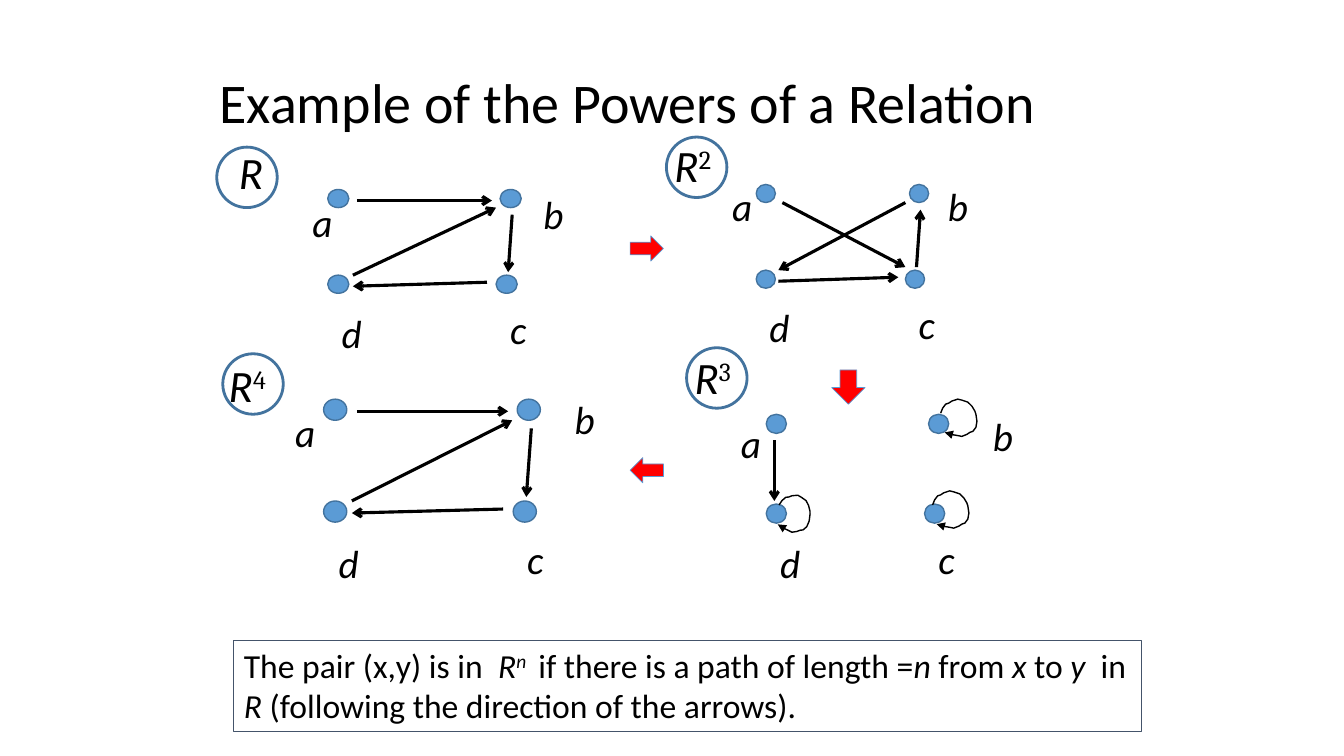
from typing import NamedTuple

from lxml import etree
from pptx import Presentation
from pptx.dml.color import RGBColor
from pptx.enum.shapes import MSO_CONNECTOR, MSO_SHAPE
from pptx.enum.text import MSO_ANCHOR, MSO_AUTO_SIZE, PP_ALIGN
from pptx.oxml.ns import qn
from pptx.util import Inches, Pt

BLACK = RGBColor(0x00, 0x00, 0x00)
RED = RGBColor(0xFF, 0x00, 0x00)
BLUE = RGBColor(0x5B, 0x9B, 0xD5)
DARK_BLUE = RGBColor(0x43, 0x73, 0x9E)
SLATE = RGBColor(0x44, 0x54, 0x6A)

Point = tuple[float, float]
Box = tuple[float, float, float, float]


class Piece(NamedTuple):
    text: str
    italic: bool = False
    raised: bool = False
    font: str = "Calibri"


class Graph(NamedTuple):
    """Nodes a, b, c, d: a and d share the left edge, a and b the top edge."""
    power: str
    power_box: Box
    circle: Point
    left: float
    right: float
    top: float
    bottom: float
    node_size: Point
    labels: dict[str, Point]
    edges: list[tuple[Point, Point]]


class Step(NamedTuple):
    kind: MSO_SHAPE
    box: Box
    rotation: float = 0


class Loop(NamedTuple):
    left: float
    top: float
    width: float = 0.36
    rotation: float = 0


C_SHIFT = 0.04  # node c sits slightly left of node b
LABEL_HEIGHT = 0.57
CIRCLE_SIZE = 0.6

GRAPHS = [
    Graph("", (2.27, 1.39, 0.42, 0.64), (2.15, 1.46),
          3.25, 4.96, 1.88, 2.73, (0.21, 0.18),
          {"a": (3, 1.92), "b": (5.29, 1.84), "c": (4.96, 2.98), "d": (3.29, 3.02)},
          [((3.54, 1.99), (4.88, 1.99)), ((3.5, 2.73), (4.92, 2.06)),
           ((5.08, 2.13), (5.04, 2.7)), ((4.83, 2.8), (3.5, 2.84))]),
    Graph("2", (6.59, 1.32, 0.72, 0.64), (6.61, 1.36),
          7.5, 9.02, 1.83, 2.68, (0.19, 0.18),
          {"a": (7.17, 1.76), "b": (9.31, 1.76), "c": (9.02, 2.93), "d": (7.54, 2.96)},
          [((8.98, 2.01), (7.72, 2.68)), ((9.09, 2.65), (9.13, 2.08)),
           ((7.72, 2.79), (8.91, 2.75)), ((7.76, 2.01), (8.98, 2.65))]),
    Graph("3", (6.79, 3.42, 0.82, 0.64), (6.81, 3.45),
          7.6, 9.21, 4.11, 5, (0.2, 0.19),
          {"a": (7.25, 4.11), "b": (9.75, 4.04), "c": (9.21, 5.26), "d": (7.64, 5.3)},
          [((7.68, 4.37), (7.68, 4.97))]),
    Graph("4", (2.17, 3.5, 1.12, 0.64), (2.21, 3.51),
          3.21, 5.13, 3.96, 4.97, (0.23, 0.21),
          {"a": (2.83, 4), "b": (5.6, 3.87), "c": (5.13, 5.26), "d": (3.26, 5.3)},
          [((3.54, 4.08), (5.04, 4.08)), ((3.49, 4.97), (5.08, 4.17)),
           ((5.27, 4.25), (5.22, 4.93)), ((4.99, 5.05), (3.49, 5.09))]),
]

STEPS = [
    Step(MSO_SHAPE.RIGHT_ARROW, (6.25, 2.34, 0.33, 0.25)),
    Step(MSO_SHAPE.DOWN_ARROW, (8.25, 3.67, 0.33, 0.34)),
    Step(MSO_SHAPE.RIGHT_ARROW, (6.25, 4.54, 0.33, 0.25), 180),
]

LOOPS = [Loop(9.33, 3.96), Loop(9.25, 4.87), Loop(7.71, 4.91, 0.33, 14.7)]
LOOP_OUTLINE: list[Point] = [
    (0, 0.14), (0.02, 0.09), (0.05, 0.05), (0.08, 0.04), (0.11, 0.02),
    (0.17, 0), (0.21, 0.01), (0.27, 0.03), (0.31, 0.07), (0.34, 0.12),
    (0.35, 0.15), (0.36, 0.22), (0.35, 0.28), (0.32, 0.32), (0.29, 0.33),
    (0.26, 0.35), (0.21, 0.37), (0.16, 0.36), (0.1, 0.35), (0.04, 0.33),
]

RULE = [
    Piece("The pair (x,y) is in  "), Piece("R", True), Piece("n ", True, True),
    Piece(" if there is a path of length ="), Piece("n ", True), Piece("from "),
    Piece("x", True), Piece(" to "), Piece("y", True), Piece("  in "),
    Piece("R ", True), Piece("(following the direction of the arrows)."),
]


def inches(values: tuple[float, ...]) -> list[Inches]:
    return [Inches(value) for value in values]


def write(shape, pieces: list[Piece], size: float, **frame_format) -> None:
    frame = shape.text_frame
    settings = {"word_wrap": True, "vertical_anchor": MSO_ANCHOR.TOP, **frame_format}
    for name, value in settings.items():
        setattr(frame, name, value)
    paragraph = frame.paragraphs[0]
    paragraph.alignment = PP_ALIGN.LEFT
    for piece in pieces:
        run = paragraph.add_run()
        run.text = piece.text
        font_format = {"name": piece.font, "size": Pt(size), "italic": piece.italic}
        for name, value in font_format.items():
            setattr(run.font, name, value)
        run.font.color.rgb = BLACK
        if piece.raised:
            run._r.get_or_add_rPr().set("baseline", "30000")


def add_text(shapes, box: Box, pieces: list[Piece], size: float, **frame_format):
    text = shapes.add_textbox(*inches(box))
    write(text, pieces, size, **frame_format)
    return text


def style(shape, line: RGBColor, width: float, fill: RGBColor | None = None) -> None:
    shape.shadow.inherit = False
    shape.line.color.rgb = line
    shape.line.width = Pt(width)
    if fill is None:
        shape.fill.background()
    else:
        shape.fill.solid()
        shape.fill.fore_color.rgb = fill


def add_arrowhead(shape, kind: str) -> None:
    etree.SubElement(shape.line._get_or_add_ln(), qn("a:tailEnd"), type=kind)


def add_edge(shapes, start: Point, end: Point) -> None:
    edge = shapes.add_connector(MSO_CONNECTOR.STRAIGHT, *inches(start + end))
    edge.line.color.rgb = BLACK
    edge.line.width = Pt(2.25)
    add_arrowhead(edge, "arrow")
    etree.SubElement(edge._element.spPr, qn("a:effectLst"))


def add_graph(shapes, graph: Graph) -> None:
    nodes = [(graph.left, graph.top), (graph.left, graph.bottom),
             (graph.right - C_SHIFT, graph.bottom), (graph.right, graph.top)]
    for corner in nodes:
        node = shapes.add_shape(MSO_SHAPE.OVAL, *inches(corner + graph.node_size))
        style(node, DARK_BLUE, 1, BLUE)
    for letter, corner in graph.labels.items():
        add_text(shapes, (*corner, graph.node_size[0], LABEL_HEIGHT),
                 [Piece(letter, True)], 28, auto_size=MSO_AUTO_SIZE.SHAPE_TO_FIT_TEXT)
    for start, end in graph.edges:
        add_edge(shapes, start, end)
    name = [Piece("R", True)]
    if graph.power:
        name.append(Piece(graph.power, raised=True, font="Cambria"))
    add_text(shapes, graph.power_box, name, 32, auto_size=MSO_AUTO_SIZE.SHAPE_TO_FIT_TEXT)
    circle = shapes.add_shape(MSO_SHAPE.OVAL,
                              *inches((*graph.circle, CIRCLE_SIZE, CIRCLE_SIZE)))
    style(circle, DARK_BLUE, 2)


def add_loop(shapes, loop: Loop) -> None:
    points = [inches((loop.left + x, loop.top + y)) for x, y in LOOP_OUTLINE]
    builder = shapes.build_freeform(*points[0])
    builder.add_line_segments(points[1:], close=False)
    curve = builder.convert_to_shape()
    style(curve, BLACK, 1)
    curve.width = Inches(loop.width)
    curve.rotation = loop.rotation
    add_arrowhead(curve, "triangle")


def main() -> None:
    deck = Presentation()
    deck.slide_width, deck.slide_height = inches((13.33, 7.5))
    shapes = deck.slides.add_slide(deck.slide_layouts[6]).shapes

    title = add_text(shapes, (2.08, 0.42, 9, 1.25),
                     [Piece("Example of the Powers of a Relation")], 40,
                     vertical_anchor=MSO_ANCHOR.MIDDLE)
    title.text_frame.paragraphs[0].line_spacing = 0.9
    for graph in GRAPHS:
        add_graph(shapes.add_group_shape().shapes, graph)
    for step in STEPS:
        arrow = shapes.add_shape(step.kind, *inches(step.box))
        style(arrow, BLUE, 0.5, RED)
        arrow.rotation = step.rotation
    rule_box = shapes.add_shape(MSO_SHAPE.RECTANGLE, *inches((2.32, 6.35, 9, 0.91)))
    style(rule_box, SLATE, 0.75)
    write(rule_box, RULE, 24, auto_size=MSO_AUTO_SIZE.SHAPE_TO_FIT_TEXT)
    for loop in LOOPS:
        add_loop(shapes, loop)

    deck.save("out.pptx")


if __name__ == "__main__":
    main()
